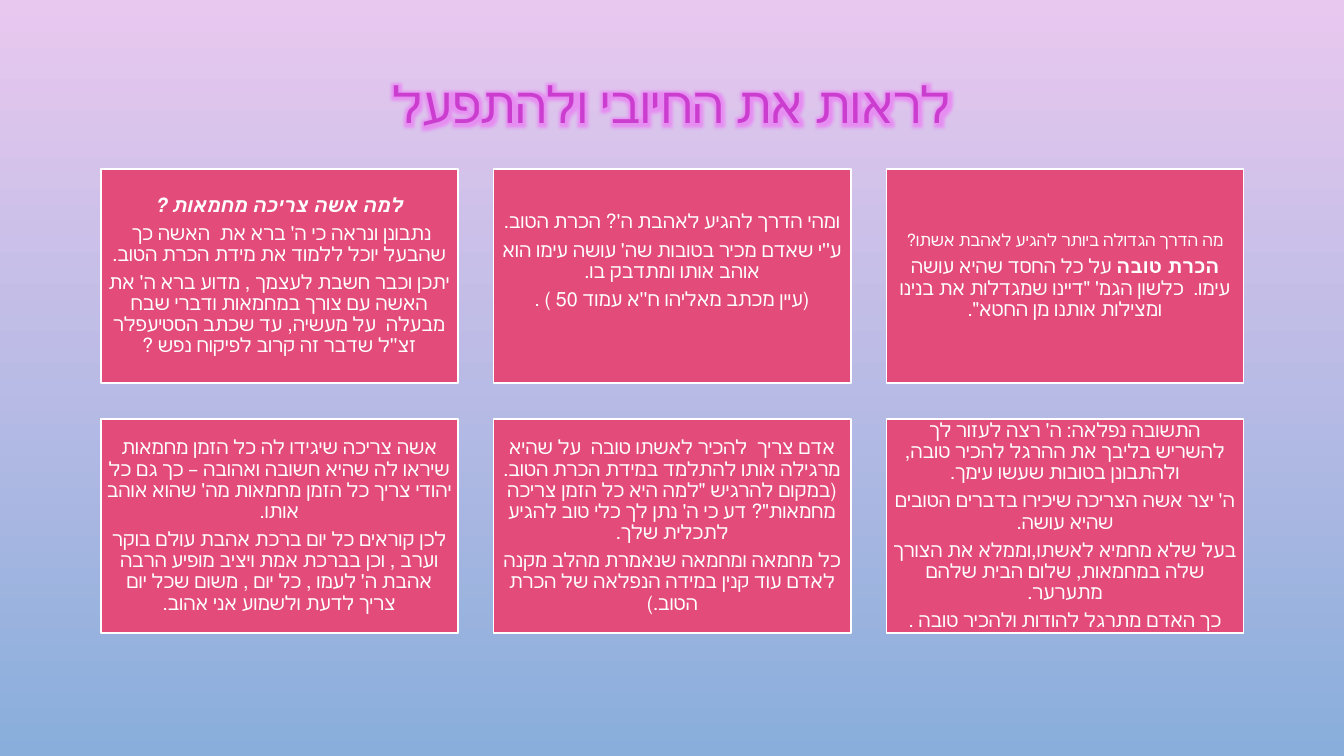
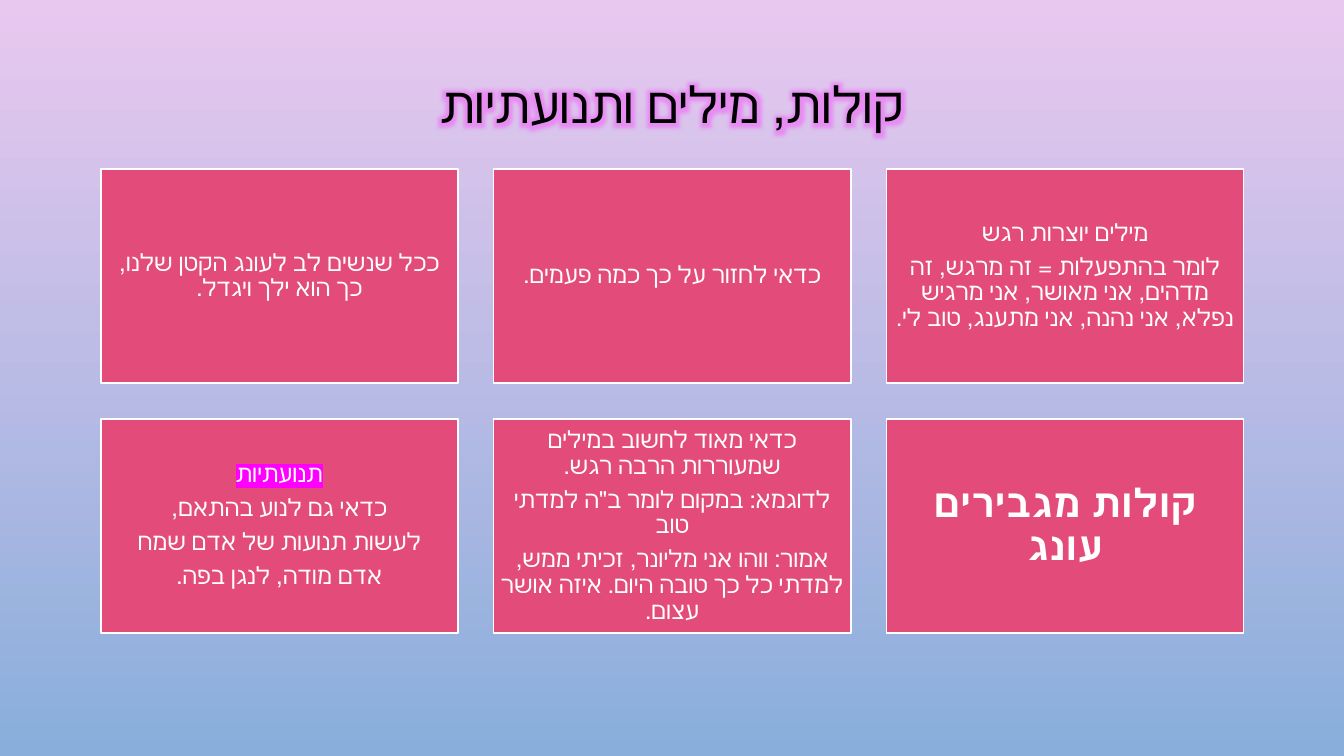
from dataclasses import dataclass

from lxml.etree import SubElement
from pptx import Presentation
from pptx.dml.color import RGBColor
from pptx.enum.shapes import MSO_SHAPE
from pptx.enum.text import MSO_ANCHOR, MSO_AUTO_SIZE, PP_ALIGN
from pptx.oxml.ns import qn
from pptx.util import Cm, Pt

COLOURS = {
    "sky_top": "E9C8EF",
    "sky_bottom": "89AEDB",
    "tile": "E34B7A",
    "white": "FFFFFF",
    "black": "000000",
    "orchid": "CB3DCF",
    "glow": "EB80F5",
    "marker": "FF00FF",
}
FONT = "Cabin"
COLUMNS = 3
GRID_LEFT, GRID_TOP = 2.54, 4.26
TILE_WIDTH, TILE_HEIGHT, GAP = 9, 5.4, 0.9


@dataclass
class Phrase:
    text: str
    bold: bool = False
    italic: bool = False
    size: float = 0
    marker: str = ""


@dataclass
class Tile:
    paragraphs: list
    size: float = 14
    inset: float = 0.15
    lift: float = 0


APPRECIATION = [
    Tile([
        [Phrase("מה הדרך הגדולה ביותר להגיע לאהבת אשתו?", size=12)],
        [Phrase("הכרת טובה", bold=True),
         Phrase(" על כל החסד שהיא עושה עימו.  כלשון הגמ' \"דיינו שמגדלות את בנינו ומצילות אותנו מן החטא\".")],
    ], inset=0.13),
    Tile([
        [Phrase("ומהי הדרך להגיע לאהבת ה'? הכרת הטוב.")],
        [Phrase("ע''י שאדם מכיר בטובות שה' עושה עימו הוא אוהב אותו ומתדבק בו.")],
        [Phrase("(עיין מכתב מאליהו ח''א עמוד 50 ) .")],
    ], lift=0.75),
    Tile([
        [Phrase("למה אשה צריכה מחמאות ?", bold=True, italic=True)],
        [Phrase("נתבונן ונראה כי ה' ברא את  האשה כך  שהבעל יוכל ללמוד את מידת הכרת הטוב.")],
        [Phrase("יתכן וכבר חשבת לעצמך , מדוע ברא ה' את האשה עם צורך במחמאות ודברי שבח "
                "מבעלה  על מעשיה, עד שכתב הסטיעפלר זצ''ל שדבר זה קרוב לפיקוח נפש ?")],
    ]),
    Tile([
        [Phrase("התשובה נפלאה: ה' רצה לעזור לך להשריש בליבך את ההרגל להכיר טובה, "
                "ולהתבונן בטובות שעשו עימך.")],
        [Phrase("ה' יצר אשה הצריכה שיכירו בדברים הטובים שהיא עושה.")],
        [Phrase("בעל שלא מחמיא לאשתו,וממלא את הצורך שלה במחמאות, שלום הבית שלהם מתערער.")],
        [Phrase("כך האדם מתרגל להודות ולהכיר טובה .")],
    ]),
    Tile([
        [Phrase("אדם צריך  להכיר לאשתו טובה  על שהיא מרגילה אותו להתלמד במידת הכרת הטוב. "
                "(במקום להרגיש \"למה היא כל הזמן צריכה מחמאות\"? דע כי ה' נתן לך כלי טוב להגיע לתכלית שלך.")],
        [Phrase("כל מחמאה ומחמאה שנאמרת מהלב מקנה לאדם עוד קנין במידה הנפלאה של הכרת הטוב.)")],
    ]),
    Tile([
        [Phrase("אשה צריכה שיגידו לה כל הזמן מחמאות שיראו לה שהיא חשובה ואהובה – "
                "כך גם כל יהודי צריך כל הזמן מחמאות מה' שהוא אוהב אותו.")],
        [Phrase("לכן קוראים כל יום ברכת אהבת עולם בוקר וערב , וכן בברכת אמת ויציב מופיע הרבה "
                "אהבת ה' לעמו , כל יום , משום שכל יום צריך לדעת ולשמוע אני אהוב.")],
    ]),
]

EXPRESSION = [
    Tile([
        [Phrase("מילים יוצרות רגש")],
        [Phrase("לומר בהתפעלות = זה מרגש, זה מדהים, אני מאושר, אני מרגיש נפלא, "
                "אני נהנה, אני מתענג, טוב לי.")],
    ], 17, 0.18),
    Tile([[Phrase("כדאי לחזור על כך כמה פעמים.")]], 17, 0.18),
    Tile([[Phrase("ככל שנשים לב לעונג הקטן שלנו, כך הוא ילך ויגדל.")]], 17, 0.18),
    Tile([[Phrase("קולות מגבירים עונג", bold=True)]], 28, 0.3),
    Tile([
        [Phrase("כדאי מאוד לחשוב במילים שמעוררות הרבה רגש.")],
        [Phrase("לדוגמא: במקום לומר ב\"ה למדתי טוב")],
        [Phrase("אמור: ווהו אני מליונר, זכיתי ממש, למדתי כל כך טובה היום. איזה אושר עצום.")],
    ], 17, 0.18),
    Tile([
        [Phrase("תנועתיות", marker="marker")],
        [Phrase("כדאי גם לנוע בהתאם,")],
        [Phrase("לעשות תנועות של אדם שמח")],
        [Phrase("אדם מודה, לנגן בפה.")],
    ], 17, 0.18),
]


def rgb(name):
    return RGBColor.from_string(COLOURS[name])


def set_background(master):
    fill = master.background.fill
    fill.gradient()
    fill.gradient_angle = 270
    for stop, name in zip(fill.gradient_stops, ("sky_top", "sky_bottom")):
        stop.color.rgb = rgb(name)


def set_hebrew_paragraph(paragraph):
    paragraph.alignment = PP_ALIGN.CENTER
    paragraph.line_spacing = 0.9
    paragraph._p.get_or_add_pPr().set("rtl", "1")


def add_glow(run):
    effects = SubElement(run._r.get_or_add_rPr(), qn("a:effectLst"))
    glow = SubElement(effects, qn("a:glow"), rad=str(Pt(11)))
    colour = SubElement(glow, qn("a:srgbClr"), val=COLOURS["glow"])
    SubElement(colour, qn("a:alpha"), val="80000")


def add_highlight(run, name):
    highlight = SubElement(run._r.get_or_add_rPr(), qn("a:highlight"))
    SubElement(highlight, qn("a:srgbClr"), val=COLOURS[name])


def format_title(title, text, colour):
    title.left, title.top = Cm(2.54), Cm(1.73)
    title.width, title.height = Cm(28.78), Cm(1.96)
    frame = title.text_frame
    frame.text = text
    frame.vertical_anchor = MSO_ANCHOR.MIDDLE
    frame.auto_size = MSO_AUTO_SIZE.NONE
    heading = frame.paragraphs[0]
    set_hebrew_paragraph(heading)
    run = heading.runs[0]
    run.font.size = Pt(36)
    run.font.color.rgb = rgb(colour)
    add_glow(run)
    run.font.name = FONT


def add_phrase(paragraph, phrase, size):
    run = paragraph.add_run()
    run.text = phrase.text
    run.font.size = Pt(phrase.size or size)
    run.font.bold = phrase.bold
    run.font.italic = phrase.italic
    run.font.color.rgb = rgb("white")
    if phrase.marker:
        add_highlight(run, phrase.marker)
    run.font.name = FONT


def fill_tile_text(frame, tile):
    frame.word_wrap = True
    frame.vertical_anchor = MSO_ANCHOR.MIDDLE
    frame.margin_left = frame.margin_right = frame.margin_top = Cm(tile.inset)
    frame.margin_bottom = Cm(tile.inset + tile.lift)
    for index, phrases in enumerate(tile.paragraphs):
        paragraph = frame.add_paragraph() if index else frame.paragraphs[0]
        set_hebrew_paragraph(paragraph)
        paragraph.space_after = Pt(0.35 * tile.size)
        for phrase in phrases:
            add_phrase(paragraph, phrase, tile.size)


def add_tile(slide, tile, index):
    row, column = divmod(index, COLUMNS)
    left = GRID_LEFT + (COLUMNS - 1 - column) * (TILE_WIDTH + GAP)
    top = GRID_TOP + row * (TILE_HEIGHT + GAP)
    card = slide.shapes.add_shape(
        MSO_SHAPE.RECTANGLE, Cm(left), Cm(top), Cm(TILE_WIDTH), Cm(TILE_HEIGHT))
    card.shadow.inherit = False
    card.fill.solid()
    card.fill.fore_color.rgb = rgb("tile")
    card.line.color.rgb = rgb("white")
    card.line.width = Pt(1.25)
    fill_tile_text(card.text_frame, tile)


def add_tile_slide(deck, title, colour, tiles):
    slide = deck.slides.add_slide(deck.slide_layouts[5])
    format_title(slide.shapes.title, title, colour)
    for index, tile in enumerate(tiles):
        add_tile(slide, tile, index)


def main():
    deck = Presentation()
    deck.slide_width, deck.slide_height = Cm(33.87), Cm(19.05)
    set_background(deck.slide_master)
    add_tile_slide(deck, "לראות את החיובי ולהתפעל", "orchid", APPRECIATION)
    add_tile_slide(deck, "קולות, מילים ותנועתיות", "black", EXPRESSION)
    deck.save("out.pptx")


if __name__ == "__main__":
    main()
